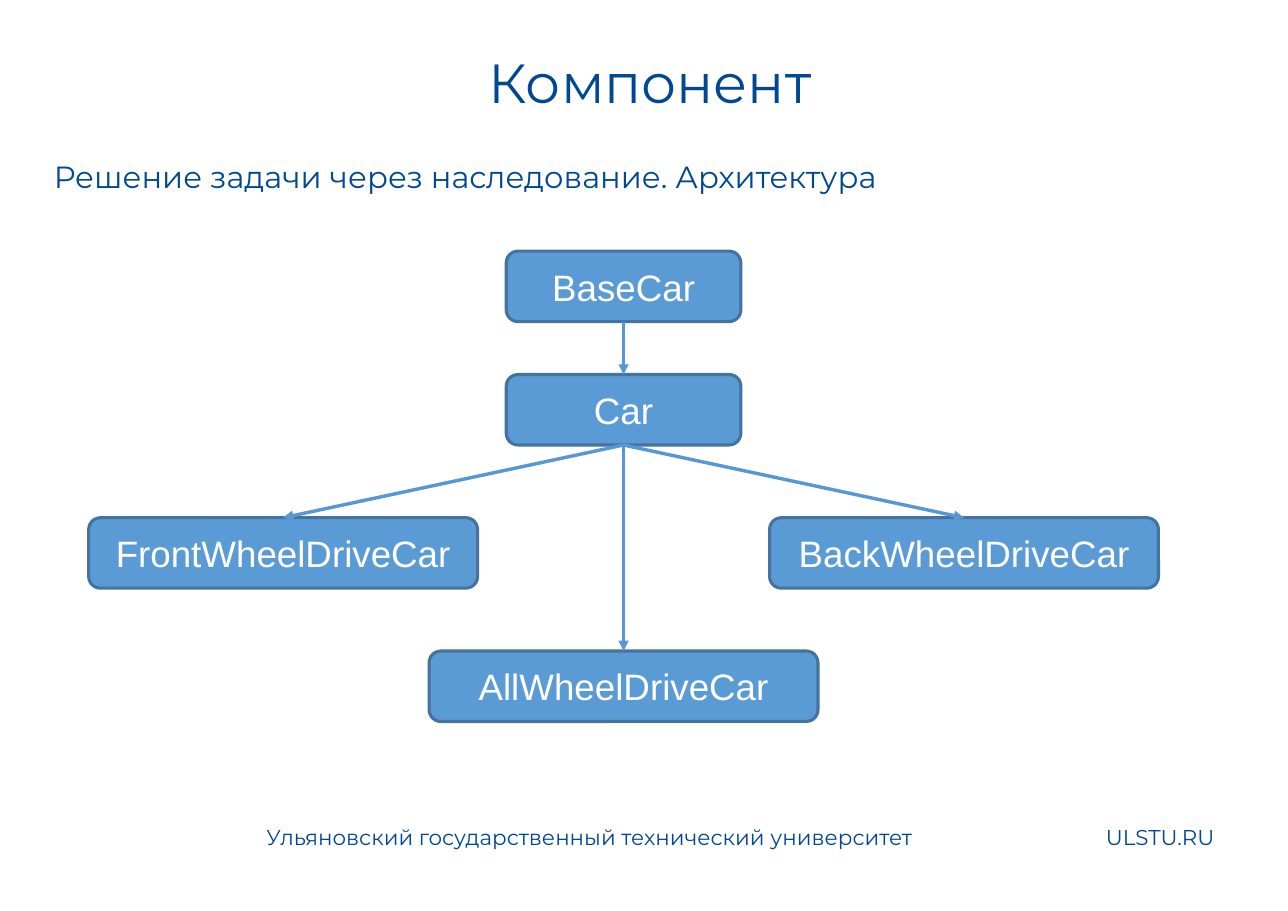
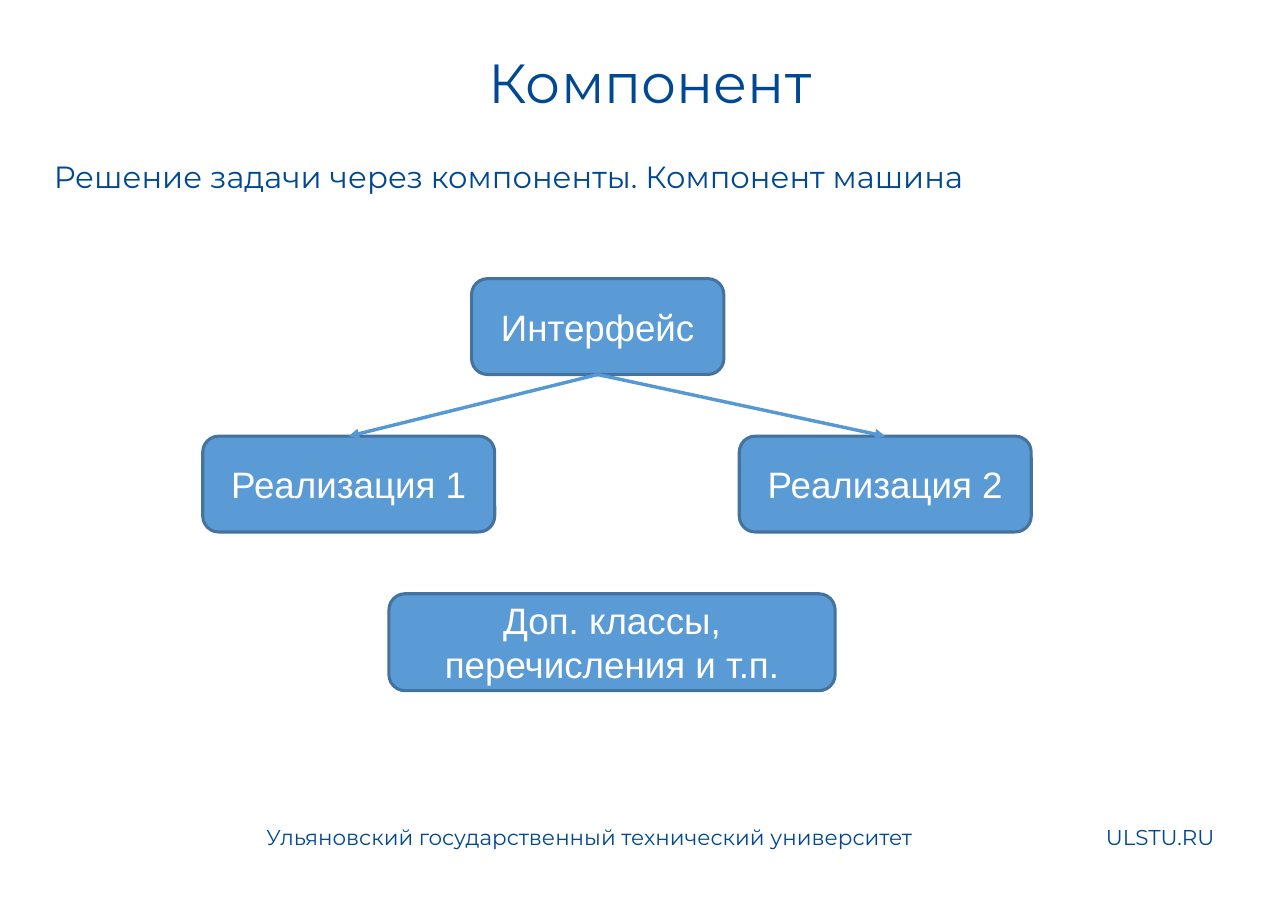
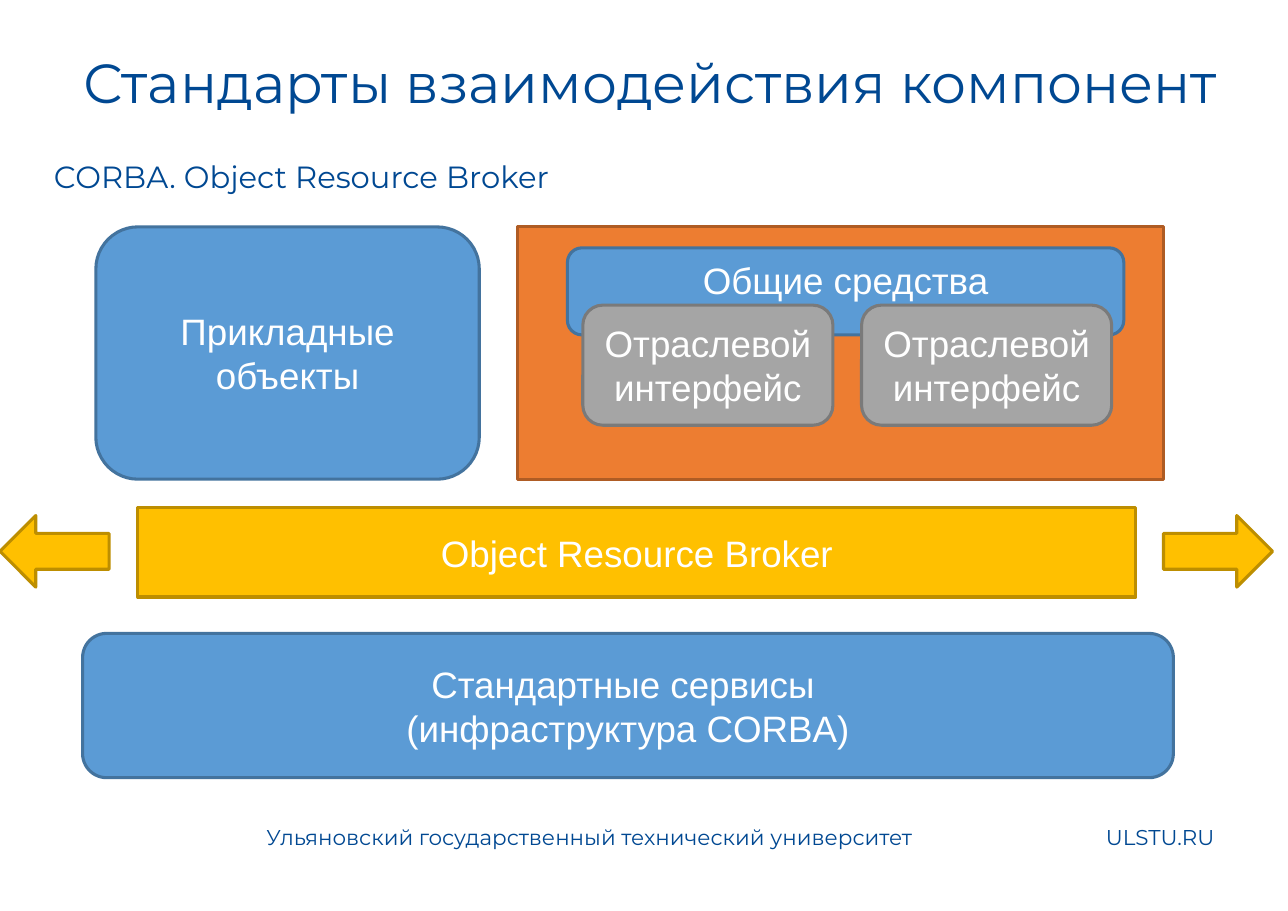
from pptx import Presentation
from pptx.dml.color import RGBColor
from pptx.enum.shapes import MSO_CONNECTOR, MSO_SHAPE
from pptx.enum.text import MSO_ANCHOR, MSO_AUTO_SIZE, PP_ALIGN
from pptx.oxml.ns import qn
from pptx.oxml.xmlchemy import OxmlElement
from pptx.util import Inches, Pt

ROUNDED = MSO_SHAPE.ROUNDED_RECTANGLE
RECTANGLE = MSO_SHAPE.RECTANGLE
LEFT_ARROW = MSO_SHAPE.LEFT_ARROW
RIGHT_ARROW = MSO_SHAPE.RIGHT_ARROW
STRAIGHT = MSO_CONNECTOR.STRAIGHT
TOP, MIDDLE = MSO_ANCHOR.TOP, MSO_ANCHOR.MIDDLE
LEFT, CENTER = PP_ALIGN.LEFT, PP_ALIGN.CENTER
NO_AUTOFIT = MSO_AUTO_SIZE.NONE

COLORS = {
    "heading": "004892",
    "label": "FFFFFF",
    "arrow": "5698D3",
    "blue": "5B9BD5",
    "blue_edge": "43739E",
    "yellow": "FFC000",
    "yellow_edge": "BD8E00",
    "orange": "ED7D31",
    "orange_edge": "AF5C24",
    "gray": "A5A5A5",
    "gray_edge": "7A7A7A",
}
HEADING_FONT, LABEL_FONT = "Montserrat", "Arial"
MARGIN, CONTENT_WIDTH = 0.39, 11.02
FOOTER_TOP, FOOTER_HEIGHT = 7.43, 0.39
TITLE_ONLY = 5
TOP_SITE, BOTTOM_SITE = 0, 2  # connection sites of a rectangle


def color(name):
    return RGBColor.from_string(COLORS[name])


def write(shape, text, font, size, color_name, align, anchor):
    """Fill a shape with text, one paragraph per line of the string."""
    frame = shape.text_frame
    frame.text = text
    frame.word_wrap = True
    frame.auto_size = NO_AUTOFIT
    frame.vertical_anchor = anchor
    for paragraph in frame.paragraphs:
        paragraph.alignment = align
        paragraph.font.name = font
        paragraph.font.size = Pt(size)
        paragraph.font.color.rgb = color(color_name)


def add_heading_text(slide, text, size, left, top, width, height):
    box = slide.shapes.add_textbox(Inches(left), Inches(top), Inches(width), Inches(height))
    write(box, text, HEADING_FONT, size, "heading", LEFT, TOP)


def add_base_slide(prs, title, subtitle):
    """Add a slide with the shared title, subtitle and footer."""
    slide = prs.slides.add_slide(prs.slide_layouts[TITLE_ONLY])
    heading = slide.shapes.title
    heading.left, heading.top = Inches(MARGIN), Inches(MARGIN)
    heading.width, heading.height = Inches(CONTENT_WIDTH), Inches(0.79)
    write(heading, title, HEADING_FONT, 36, "heading", CENTER, TOP)
    add_heading_text(slide, "Ульяновский государственный технический университет", 14,
                     2.32, FOOTER_TOP, 6.2, FOOTER_HEIGHT)
    add_heading_text(slide, "ULSTU.RU", 14, 9.94, FOOTER_TOP, 1.4, FOOTER_HEIGHT)
    add_heading_text(slide, subtitle, 20, MARGIN, 1.38, CONTENT_WIDTH, 0.59)
    return slide


def add_block(shapes, text, left, top, width, height,
              kind=ROUNDED, fill="blue", anchor=MIDDLE):
    block = shapes.add_shape(kind, Inches(left), Inches(top), Inches(width), Inches(height))
    block.shadow.inherit = False
    block.fill.solid()
    block.fill.fore_color.rgb = color(fill)
    block.line.color.rgb = color(fill + "_edge")
    block.line.width = Pt(2)
    if text:
        write(block, text, LABEL_FONT, 24, "label", CENTER, anchor)
    return block


def add_arrow(shapes, parent, child):
    """Glue an arrow from the bottom of parent to the top of child."""
    arrow = shapes.add_connector(STRAIGHT, 0, 0, 0, 0)
    arrow.begin_connect(parent, BOTTOM_SITE)
    arrow.end_connect(child, TOP_SITE)
    arrow.line.color.rgb = color("arrow")
    arrow.line.width = Pt(2.25)
    properties = arrow.element.spPr
    head = OxmlElement("a:tailEnd")
    head.set("type", "triangle")
    properties.find(qn("a:ln")).append(head)
    properties.append(OxmlElement("a:effectLst"))


def build_inheritance(prs):
    slide = add_base_slide(prs, "Компонент", "Решение задачи через наследование. Архитектура")
    shapes = slide.shapes
    axis, spread, height = 5.66, 3.09, 0.64

    def add_class(name, center, top, width):
        return add_block(shapes, name, center - width / 2, top, width, height)

    base_car = add_class("BaseCar", axis, 2.28, 2.13)
    car = add_class("Car", axis, 3.4, 2.13)
    add_arrow(shapes, base_car, car)
    drive_cars = [
        add_class(name, center, top, 3.53)
        for name, center, top in (
            ("FrontWheelDriveCar", axis - spread, 4.7),
            ("BackWheelDriveCar", axis + spread, 4.7),
            ("AllWheelDriveCar", axis, 5.91),
        )
    ]
    for drive_car in drive_cars:
        add_arrow(shapes, car, drive_car)


def build_component(prs):
    slide = add_base_slide(prs, "Компонент", "Решение задачи через компоненты. Компонент машина")
    shapes = slide.shapes
    interface = add_block(shapes, "Интерфейс", 4.28, 2.53, 2.29, 0.87)
    for number, left in enumerate((1.84, 6.71), start=1):
        realization = add_block(shapes, f"Реализация {number}", left, 3.96, 2.65, 0.87)
        add_arrow(shapes, interface, realization)
    add_block(shapes, "Доп. классы, перечисления и т.п.", 3.53, 5.39, 4.05, 0.88)


def build_corba(prs):
    slide = add_base_slide(prs, "Стандарты взаимодействия компонент",
                           "CORBA. Object Resource Broker")
    shapes = slide.shapes
    add_block(shapes, "Прикладные объекты", 0.87, 2.06, 3.48, 2.29)
    add_block(shapes, "Object Resource Broker", 1.25, 4.61, 9.06, 0.81, RECTANGLE, "yellow")

    facilities = shapes.add_group_shape().shapes
    add_block(facilities, "", 4.7, 2.06, 5.86, 2.29, RECTANGLE, "orange")
    add_block(facilities, "Общие средства", 5.15, 2.25, 5.05, 0.79, anchor=TOP)
    for left in (5.29, 7.82):
        add_block(facilities, "Отраслевой интерфейс", left, 2.77, 2.27, 1.09, fill="gray")

    for direction, left in ((RIGHT_ARROW, 10.56), (LEFT_ARROW, 0)):
        add_block(shapes, "", left, 4.68, 0.99, 0.65, direction, "yellow")
    add_block(shapes, "Стандартные сервисы \n(инфраструктура CORBA)", 0.75, 5.75, 9.9, 1.31)


def main():
    prs = Presentation()
    prs.slide_width, prs.slide_height = Inches(11.69), Inches(8.27)
    build_inheritance(prs)
    build_component(prs)
    build_corba(prs)
    prs.save("out.pptx")


if __name__ == "__main__":
    main()
